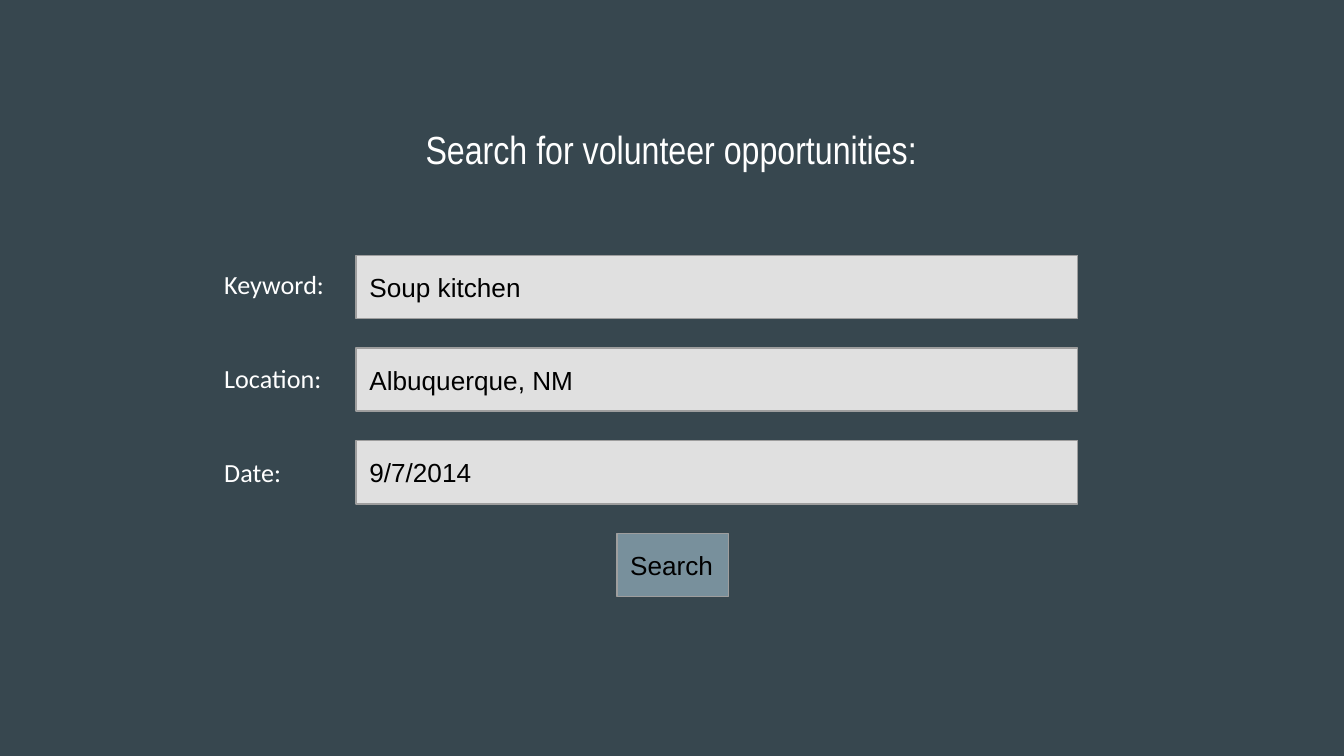
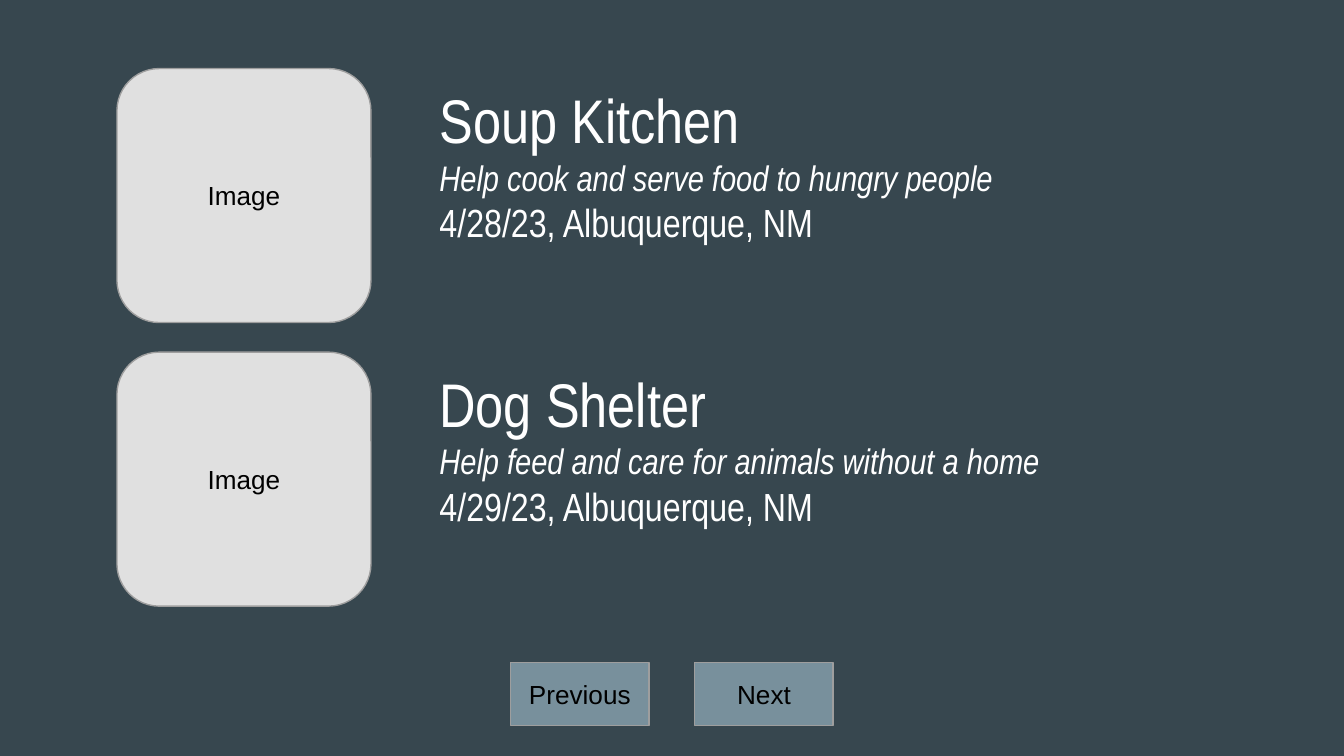
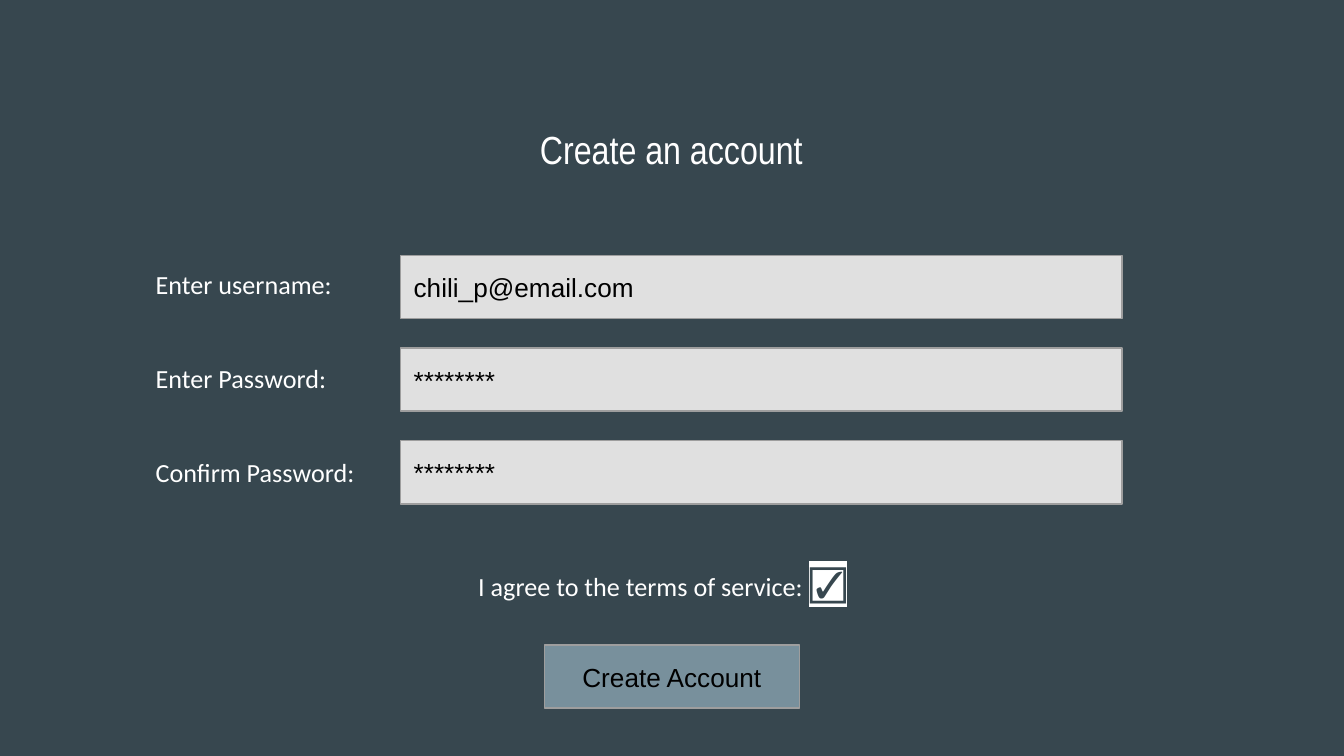
from dataclasses import dataclass

from lxml import etree
from pptx import Presentation
from pptx.dml.color import RGBColor
from pptx.enum.shapes import MSO_SHAPE
from pptx.enum.text import MSO_ANCHOR, MSO_AUTO_SIZE, PP_ALIGN
from pptx.oxml.ns import qn
from pptx.util import Inches, Pt

RECTANGLE = MSO_SHAPE.RECTANGLE
ROUNDED = MSO_SHAPE.ROUNDED_RECTANGLE
TOP, MIDDLE = MSO_ANCHOR.TOP, MSO_ANCHOR.MIDDLE
LEFT, CENTER = PP_ALIGN.LEFT, PP_ALIGN.CENTER
FIXED, GROW = MSO_AUTO_SIZE.NONE, MSO_AUTO_SIZE.SHAPE_TO_FIT_TEXT


@dataclass(frozen=True)
class Theme:
    background: str = "37474F"
    field: str = "E0E0E0"
    button: str = "78909C"
    outline: str = "9E9E9E"
    light: str = "FFFFFF"
    dark: str = "000000"
    title_font: str = "Arial Narrow"
    control_font: str = "Arial"
    label_font: str = "Calibri"
    heading_size: int = 33
    title_size: int = 21
    summary_size: int = 19
    check_size: int = 20
    text_size: int = 14


THEME = Theme()
SLIDE_WIDTH = Inches(10)
SLIDE_HEIGHT = SLIDE_WIDTH * 9 // 16
FORM_TOP = 1.9
FIELD_PITCH = 0.69
FIELD_WIDTH = 5.37
CONTROL_HEIGHT = 0.47
THUMBNAIL_SIDE = 1.89
LISTING_TOP = 0.51
LISTING_PITCH = 2.11


def add_run(paragraph, text, *, font, size, color, italic=False, highlight=None):
    run = paragraph.add_run()
    run.text = text
    run.font.name = font
    run.font.size = Pt(size)
    run.font.italic = italic
    run.font.color.rgb = RGBColor.from_string(color)
    if highlight:
        marker = etree.Element(qn("a:highlight"))
        etree.SubElement(marker, qn("a:srgbClr"), val=highlight)
        run.font._element.find(qn("a:solidFill")).addnext(marker)


def write(holder, lines, *, font=THEME.control_font, size=THEME.text_size,
          color=THEME.dark, align=LEFT, anchor=MIDDLE, fit=FIXED, gap=0):
    frame = holder.text_frame
    frame.word_wrap = True
    frame.auto_size = fit
    frame.vertical_anchor = anchor
    frame.margin_left = frame.margin_right = Inches(0.1)
    frame.margin_top = frame.margin_bottom = Inches(0.1)
    for index, runs in enumerate(lines):
        paragraph = frame.add_paragraph() if index else frame.paragraphs[0]
        paragraph.alignment = align
        paragraph.space_before = Pt(gap if index else 0)
        for text, changes in runs:
            style = {"font": font, "size": size, "color": color, **changes}
            add_run(paragraph, text, **style)


def place(holder, left, top, width, height):
    holder.left, holder.top = Inches(left), Inches(top)
    holder.width, holder.height = Inches(width), Inches(height)


def add_control(slide, caption, left, top, width, *, height=CONTROL_HEIGHT,
                outline=RECTANGLE, fill=THEME.button, align=CENTER):
    control = slide.shapes.add_shape(
        outline, Inches(left), Inches(top), Inches(width), Inches(height))
    control.shadow.inherit = False
    control.fill.solid()
    control.fill.fore_color.rgb = RGBColor.from_string(fill)
    control.line.color.rgb = RGBColor.from_string(THEME.outline)
    control.line.width = Pt(0.75)
    write(control, [[(caption, {})]], align=align)


def add_label(slide, lines, left, top, width, height, **style):
    label = slide.shapes.add_textbox(
        Inches(left), Inches(top), Inches(width), Inches(height))
    write(label, lines, font=THEME.label_font, color=THEME.light, **style)


def add_form(deck, title, entries, label_left, label_width, field_left):
    slide = deck.slides.add_slide(deck.slide_layouts[0])
    heading, subtitle = slide.placeholders
    subtitle.element.getparent().remove(subtitle.element)
    place(heading, 2.62, 0.83, 4.75, 4.09)
    write(heading, [[(title, {})]], font=THEME.title_font,
          size=THEME.title_size, color=THEME.light, align=CENTER, anchor=TOP)
    for row, (_, value) in enumerate(entries):
        add_control(slide, value, field_left, FORM_TOP + row * FIELD_PITCH,
                    FIELD_WIDTH, fill=THEME.field, align=LEFT)
    add_label(slide, [[(name, {})] for name, _ in entries], label_left, FORM_TOP,
              label_width, 1.85, anchor=TOP, fit=GROW, gap=33.5)
    return slide


def add_listing(slide, description, row, name, summary, occasion):
    top = LISTING_TOP + row * LISTING_PITCH
    place(description, 3.17, top, 5.97, 4.09)
    write(description, [
        [(name, {"size": THEME.heading_size})],
        [(summary, {"size": THEME.summary_size, "italic": True})],
        [(occasion, {})],
    ], font=THEME.title_font, size=THEME.title_size, color=THEME.light, anchor=TOP)
    add_control(slide, "Image", 0.87, top, THUMBNAIL_SIDE, height=THUMBNAIL_SIDE,
                outline=ROUNDED, fill=THEME.field)


def add_search(deck):
    entries = [("Keyword:", "Soup kitchen"), ("Location:", "Albuquerque, NM"),
               ("Date:", "9/7/2014")]
    slide = add_form(deck, "Search for volunteer opportunities:", entries,
                     1.57, 1.71, 2.65)
    add_control(slide, "Search", 4.59, 3.97, 0.83, align=LEFT)


def add_results(deck):
    slide = deck.slides.add_slide(deck.slide_layouts[0])
    listings = [
        ("Soup Kitchen", "Help cook and serve food to hungry people",
         "4/28/23, Albuquerque, NM"),
        ("Dog Shelter", "Help feed and care for animals without a home",
         "4/29/23, Albuquerque, NM"),
    ]
    descriptions = list(slide.placeholders)
    for row, (description, listing) in enumerate(zip(descriptions, listings)):
        add_listing(slide, description, row, *listing)
    for column, caption in enumerate(["Previous", "Next"]):
        add_control(slide, caption, 3.8 + column * 1.37, 4.93, 1.03)


def add_account(deck):
    entries = [("Enter username:", "chili_p@email.com"),
               ("Enter Password:", "********"), ("Confirm Password:", "********")]
    slide = add_form(deck, "Create an account", entries, 1.06, 1.9, 2.98)
    add_control(slide, "Create Account", 4.05, 4.8, 1.9)
    check = {"size": THEME.check_size, "color": THEME.background,
             "highlight": THEME.light}
    add_label(slide, [[("I agree to the terms of service: ", {}), ("☑", check)]],
              3.46, 4.06, 3.64, 0.54)


def main():
    deck = Presentation()
    deck.slide_width, deck.slide_height = SLIDE_WIDTH, SLIDE_HEIGHT
    backdrop = deck.slide_master.background.fill
    backdrop.solid()
    backdrop.fore_color.rgb = RGBColor.from_string(THEME.background)
    add_search(deck)
    add_results(deck)
    add_account(deck)
    deck.save("out.pptx")


if __name__ == "__main__":
    main()
